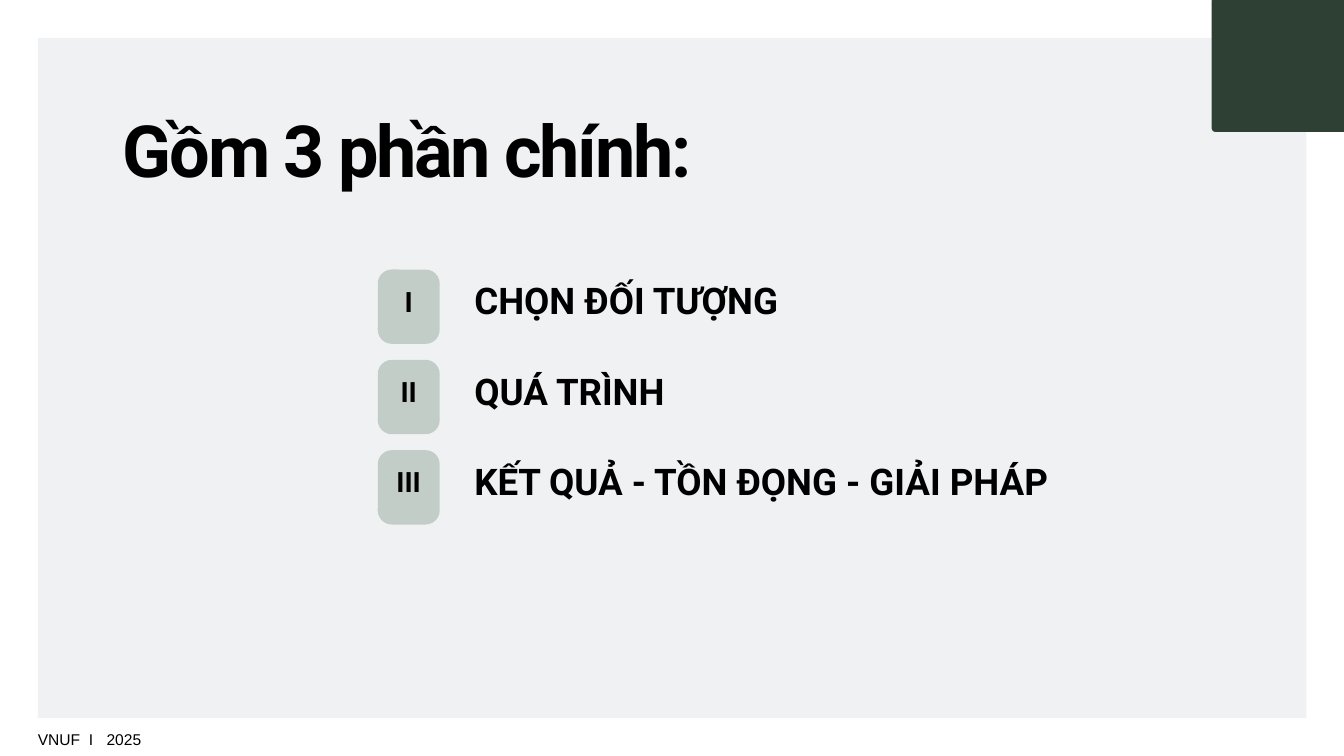
from dataclasses import dataclass

from lxml import etree
from pptx import Presentation
from pptx import util as u
from pptx.dml.color import RGBColor
from pptx.enum import shapes, text
from pptx.oxml.ns import qn


@dataclass(frozen=True)
class Theme:
    panel: str = "F0F1F3"
    badge: str = "C3CDC8"
    corner: str = "2E4033"
    ink: str = "000000"
    heading_font: str = "Roboto"
    footer_font: str = "Arial"
    title_size: float = 77.1
    label_size: float = 39.3
    badge_size: float = 30
    footer_size: float = 16.7


THEME = Theme()
SECTIONS = (
    ("I", "CHỌN ĐỐI TƯỢNG"),
    ("II", "QUÁ TRÌNH"),
    ("III", "KẾT QUẢ - TỒN ĐỌNG - GIẢI PHÁP"),
)


def add_block(slide, box, color, radius=0):
    kind = shapes.MSO_SHAPE.ROUNDED_RECTANGLE if radius else shapes.MSO_SHAPE.RECTANGLE
    block = slide.shapes.add_shape(kind, *map(u.Cm, box))
    if radius:
        block.adjustments[0] = radius / min(box[2:])
    block.shadow.inherit = False
    block.fill.solid()
    block.fill.fore_color.rgb = RGBColor.from_string(color)
    block.line.fill.background()
    return block


def write(frame, wording, size, leading, align, font=THEME.heading_font, bold=True,
          insets=(0, 0, 0, 0), tabs=()):
    frame.word_wrap = True
    frame.margin_left, frame.margin_top, frame.margin_right, frame.margin_bottom = map(u.Cm, insets)
    paragraph = frame.paragraphs[0]
    paragraph.add_run().text = wording
    paragraph.alignment = align
    paragraph.line_spacing = u.Pt(leading)
    if tabs:
        stops = etree.SubElement(paragraph._p.get_or_add_pPr(), qn("a:tabLst"))
        for position in tabs:
            etree.SubElement(stops, qn("a:tab"), pos=str(u.Cm(position)), algn="l")
    paragraph.font.name = font
    paragraph.font.size = u.Pt(size)
    paragraph.font.bold = bold
    paragraph.font.color.rgb = RGBColor.from_string(THEME.ink)
    return paragraph


def add_text(slide, box, *args, **options):
    frame = slide.shapes.add_textbox(*map(u.Cm, box)).text_frame
    return write(frame, *args, **options)


def add_backdrop(slide, left, top, width, height):
    add_block(slide, (left, top, width, height), THEME.panel)
    add_block(slide, (left + 44.37, top - 1.55, 5.11, 5.11), THEME.corner, radius=0.14)


def add_title(slide, left, top, width, height):
    title = add_text(slide, (left, top, width, height), "Gồm 3 phần chính:",
                     THEME.title_size, 108, text.PP_ALIGN.JUSTIFY)
    title.runs[0]._r.get_or_add_rPr().set("spc", "-250")


def add_section(slide, left, top, width, height, numeral, label):
    badge = add_block(slide, (left, top, 2.34, height), THEME.badge, radius=0.53)
    badge.text_frame.vertical_anchor = text.MSO_ANCHOR.MIDDLE
    write(badge.text_frame, numeral, THEME.badge_size, 42, text.PP_ALIGN.CENTER,
          insets=(0.16, 0.16, 0.16, 0.8))
    add_text(slide, (left + 3.65, top + 0.05, width - 3.65, 1.85), label,
             THEME.label_size, 55.1, text.PP_ALIGN.LEFT)


def add_agenda(slide, left, top, width, height):
    badge_height = 2.81
    pitch = (height - badge_height) / (len(SECTIONS) - 1)
    for row, (numeral, label) in enumerate(SECTIONS):
        add_section(slide, left, top + row * pitch, width, badge_height, numeral, label)


def add_footer(slide, left, top, width, height):
    add_text(slide, (left, top, width, height), "VNUF\tI\t2025", THEME.footer_size, 23.4,
             text.PP_ALIGN.LEFT, font=THEME.footer_font, bold=False, tabs=(1.93, 2.6))


def main():
    deck = Presentation()
    deck.slide_width, deck.slide_height = u.Cm(50.8), u.Cm(28.58)
    slide = deck.slides.add_slide(deck.slide_layouts[6])
    add_backdrop(slide, 1.43, 1.43, 47.95, 25.72)
    add_title(slide, 4.65, 3.45, 29.06, 3.63)
    add_agenda(slide, 14.28, 10.19, 29.43, 9.64)
    add_footer(slide, 1.43, 27.46, 10.62, 0.79)
    deck.save("out.pptx")


if __name__ == "__main__":
    main()
